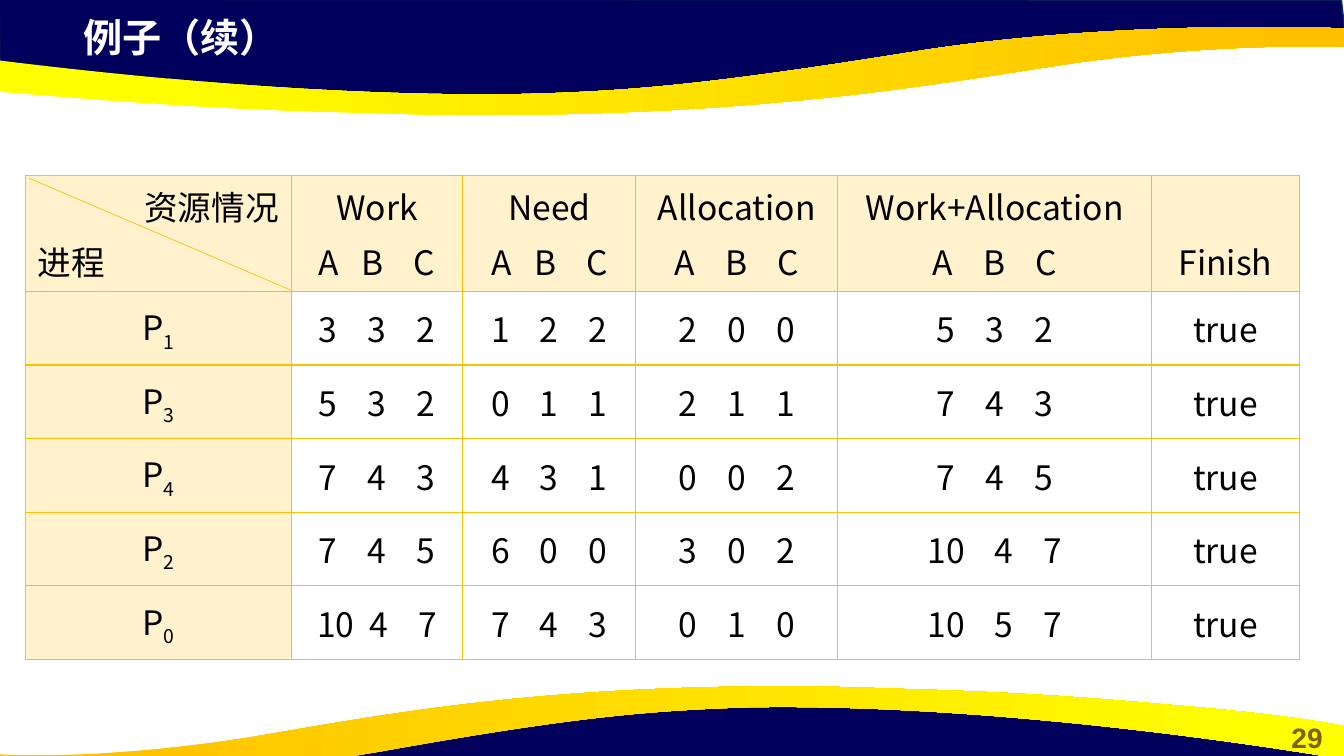
from dataclasses import dataclass
from itertools import accumulate

from lxml.etree import SubElement
from pptx import Presentation
from pptx.dml.color import RGBColor
from pptx.enum.shapes import MSO_CONNECTOR
from pptx.enum.text import MSO_ANCHOR, MSO_AUTO_SIZE, PP_ALIGN
from pptx.oxml.ns import qn
from pptx.util import Pt

NAVY = RGBColor(0x00, 0x00, 0x5C)
EDGE = RGBColor(0x05, 0x30, 0x4F)
GOLD = RGBColor(0xFF, 0xC0, 0x00)
YELLOW = RGBColor(0xFF, 0xFF, 0x00)
CREAM = RGBColor(0xFF, 0xF2, 0xCC)
BROWN = RGBColor(0x80, 0x60, 0x00)
WHITE = RGBColor(0xFF, 0xFF, 0xFF)
BLACK = RGBColor(0x00, 0x00, 0x00)
SANS = "Noto Sans CJK SC"

# The slide is a grid of 160 columns by 90 rows of square cells.
WIDE, HIGH = 160, 90
LEFT, TOP = 3.02, 20.9
COLS = [31.65, 20.42, 20.6, 24.05, 37.38, 17.57]
ROWS = [13.8] + [8.76] * 5
PAD = 1.5
GAP, NARROW, TIGHT = 3.6, 2.7, 1.8
GLYPHS = {"A": 2.4, "B": 2.6, "C": 2.5}
DIGIT = 2.2


def unit(cells: float) -> Pt:
    return Pt(cells * 6)


@dataclass
class Wave:
    """Outline of line ends (x, y) and curves (two controls and an end)."""
    start: tuple
    steps: list
    colors: tuple = ()
    places: tuple = ()


@dataclass
class Triple:
    """Three values set side by side; gap parts the first two."""
    text: str
    gap: float = GAP


WAVES = [
    Wave((-0.1, -0.1), [(0, 8.4), (35.2, 12.2), (67.1, 12), (95.4, 10.6),
                        (121.9, 6), (148.6, 4), (160.2, 4.5), (159.7, 0)]),
    Wave((58, 13.7), [
        (53.2, 13.7, 48.1, 13.6, 42.7, 13.4),
        (24.7, 13, 13.2, 12, 4.3, 11.3),
        (-10.6, 10.1, -15.6, 9, -16, 9),
        (-16, 5),
        (-16, 5, 26.2, 11.8, 62, 11.2),
        (75.1, 10.9, 85, 10, 109.8, 6),
        (134.5, 2.2, 160, 3.4, 160, 3.4),
        (160, 5.6),
        (156.6, 5.5, 143.4, 5.2, 126.6, 7.7),
        (110.2, 10.2, 91.4, 13.6, 58, 13.7)], (YELLOW, GOLD), (0.18, 0.97)),
    Wave((160, 95.3), [(159.8, 86.9), (124.8, 82.9), (92.8, 83.2),
                       (64.6, 84.7), (38, 89.2), (11.4, 91.2),
                       (-0.4, 90.7), (0.1, 95.2)]),
    Wave((92.6, 81.7), [
        (97.1, 81.7, 101.6, 81.8, 106.6, 82),
        (123, 82.4, 133.4, 83.4, 141.5, 84.1),
        (155, 85.3, 159.6, 86.4, 160, 86.4),
        (160, 90.4),
        (160, 90.4, 121.7, 83.6, 89, 84.2),
        (77, 84.6, 68, 85.4, 45.6, 89.4),
        (23, 93.4, -0.1, 92.2, -0.1, 92.2),
        (-0.1, 89.8),
        (3, 90, 15, 90.2, 30.2, 87.7),
        (45.1, 85.2, 62.3, 81.8, 92.6, 81.7)], (GOLD, YELLOW), (0.05, 0.95)),
]

HEADS = [
    ["资源情况", "进程"],
    ["Work", Triple("A B C", NARROW)],
    ["Need", Triple("A B C", NARROW)],
    ["Allocation", Triple("A B C")],
    ["Work+Allocation", Triple("A B C")],
    ["Finish"],
]
STEPS = [
    ("P1", "3 3 2", "1 2 2", "2 0 0", "5 3 2"),
    ("P3", "5 3 2", "0 1 1", "2 1 1", "7 4 3"),
    ("P4", "7 4 3", "4 3 1", "0 0 2", "7 4 5"),
    ("P2", "7 4 5", "6 0 0", "3 0 2", "10 4 7"),
    ("P0", "10 4 7", "7 4 3", "0 1 0", "10 5 7"),
]


def trace(slide, wave: Wave):
    """Build the outline, then join each curve's three lines into one arc."""
    form = slide.shapes.build_freeform(*map(unit, wave.start))
    for step in wave.steps:
        spots = [(unit(x), unit(y)) for x, y in zip(step[::2], step[1::2])]
        form.add_line_segments(spots, close=False)
    form.add_line_segments([], close=True)
    shape = form.convert_to_shape()
    lines = iter(list(shape._element.iter(qn("a:lnTo"))))
    for step in wave.steps:
        first = next(lines)
        if len(step) == 6:
            first.tag = qn("a:cubicBezTo")
            for _ in range(2):
                line = next(lines)
                first.append(line[0])
                line.getparent().remove(line)
    return shape


def draw_wave(slide, wave: Wave) -> None:
    shape = trace(slide, wave)
    shape.shadow.inherit = False
    if wave.colors:
        shape.fill.gradient()
        shape.fill.gradient_angle = 0
        for stop, color, place in zip(shape.fill.gradient_stops,
                                      wave.colors, wave.places):
            stop.color.rgb = color
            stop.position = place
        shape.line.fill.background()
    else:
        shape.fill.solid()
        shape.fill.fore_color.rgb = NAVY
        shape.line.color.rgb = EDGE
        shape.line.width = Pt(1)


def style(run, size: float, color: RGBColor, name: str = SANS,
          bold: bool = False) -> None:
    font = run.font
    font.size, font.name, font.bold = Pt(size), name, bold
    font.color.rgb = color
    SubElement(run._r.get_or_add_rPr(), qn("a:ea"), typeface=SANS)


def set_tabs(para, triple: Triple, width: float) -> None:
    """Place the three values so that the group is centred in its column."""
    sizes = [sum(GLYPHS.get(c, DIGIT) for c in word)
             for word in triple.text.split()]
    start = (width - sum(sizes) - triple.gap - GAP) / 2 - PAD
    stops = accumulate([start, sizes[0] + triple.gap, sizes[1] + GAP])
    tabs = SubElement(para._p.get_or_add_pPr(), qn("a:tabLst"))
    for stop in stops:
        SubElement(tabs, qn("a:tab"), pos=str(int(unit(stop))), algn="l")


def add_borders(cell) -> None:
    props = cell._tc.get_or_add_tcPr()
    for side in ("lnL", "lnR", "lnT", "lnB"):
        line = SubElement(props, qn(f"a:{side}"), w=str(int(Pt(1))))
        fill = SubElement(line, qn("a:solidFill"))
        SubElement(fill, qn("a:srgbClr"), val=str(GOLD))


def fill_cell(cell, lines: list, width: float, shaded: bool) -> None:
    add_borders(cell)
    if shaded:
        cell.fill.solid()
        cell.fill.fore_color.rgb = CREAM
    else:
        cell.fill.background()
    cell.margin_left = cell.margin_right = unit(PAD)
    cell.margin_top = cell.margin_bottom = unit(0.6)
    cell.vertical_anchor = MSO_ANCHOR.MIDDLE
    frame = cell.text_frame
    for i, line in enumerate(lines):
        para = frame.add_paragraph() if i else frame.paragraphs[0]
        para.space_before = Pt(4.8 if i else 0)
        if isinstance(line, Triple):
            para.alignment = PP_ALIGN.LEFT
            set_tabs(para, line, width)
            para.text = "\t" + "\t".join(line.text.split())
        else:
            para.alignment = PP_ALIGN.CENTER
            para.text = line
        for run in para.runs:
            style(run, 24, BLACK)


def lower(cell) -> None:
    """Set the digit of a process name as a subscript."""
    para = cell.text_frame.paragraphs[0]
    name = para.runs[0]
    digit = para.add_run()
    name.text, digit.text = name.text[0], name.text[1:]
    style(digit, 24, BLACK)
    digit._r.get_or_add_rPr().set("baseline", "-25000")


def draw_table(slide) -> None:
    table = slide.shapes.add_table(
        len(ROWS), len(COLS), unit(LEFT), unit(TOP),
        unit(sum(COLS)), unit(sum(ROWS))).table
    table.first_row = table.horz_banding = False
    for col, width in zip(table.columns, COLS):
        col.width = unit(width)
    for row, height in zip(table.rows, ROWS):
        row.height = unit(height)
    grid = [HEADS]
    for name, work, *rest in STEPS:
        first = Triple(work, TIGHT if work.startswith("10") else GAP)
        grid.append([[name], [first], *([Triple(r)] for r in rest), ["true"]])
    for r, row in enumerate(grid):
        for c, lines in enumerate(row):
            fill_cell(table.cell(r, c), lines, COLS[c], r == 0 or c == 0)
        if r:
            lower(table.cell(r, 0))
    corner = table.cell(0, 0).text_frame.paragraphs
    corner[0].alignment, corner[1].alignment = PP_ALIGN.RIGHT, PP_ALIGN.LEFT
    finish = table.cell(0, 5)
    finish.vertical_anchor, finish.margin_bottom = MSO_ANCHOR.BOTTOM, unit(0.8)


def draw_slash(slide) -> None:
    line = slide.shapes.add_connector(
        MSO_CONNECTOR.STRAIGHT, unit(LEFT + 0.4), unit(TOP + 0.3),
        unit(LEFT + COLS[0] + 0.1), unit(TOP + ROWS[0] - 0.1))
    line.line.color.rgb = GOLD
    line.line.width = Pt(0.5)
    SubElement(line._element.spPr, qn("a:effectLst"))


def set_label(shape, text: str, size: float, color: RGBColor, align) -> None:
    frame = shape.text_frame
    frame.text = text
    frame.word_wrap = True
    frame.auto_size = MSO_AUTO_SIZE.NONE
    frame.vertical_anchor = MSO_ANCHOR.MIDDLE
    frame.paragraphs[0].alignment = align
    style(frame.paragraphs[0].runs[0], size, color, "Arial", True)


def main() -> None:
    deck = Presentation()
    deck.slide_width, deck.slide_height = unit(WIDE), unit(HIGH)
    slide = deck.slides.add_slide(deck.slide_layouts[5])
    title = slide.shapes.title
    for wave in WAVES:
        draw_wave(slide, wave)
    page = slide.shapes.add_textbox(
        unit(151.2), unit(85.1), unit(8.8), unit(5.3))
    set_label(page, "29", 20, BROWN, PP_ALIGN.CENTER)
    slide.shapes._spTree.append(title._element)
    title.left, title.top = unit(8.7), unit(0.95)
    title.width, title.height = unit(92.2), unit(6.8)
    set_label(title, "例子（续）", 28, WHITE, PP_ALIGN.LEFT)
    draw_table(slide)
    draw_slash(slide)
    deck.save("out.pptx")


if __name__ == "__main__":
    main()
